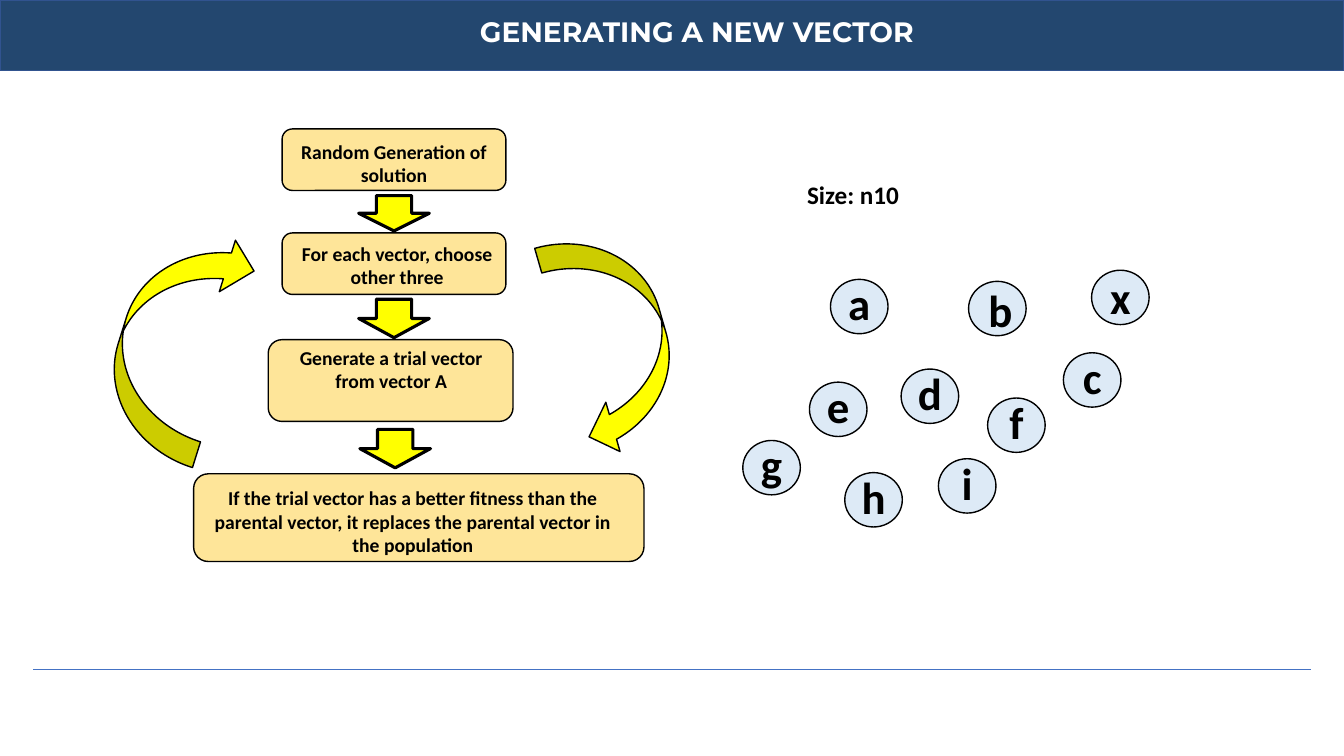
from dataclasses import dataclass

from lxml import etree
from pptx import Presentation
from pptx import util as u
from pptx.dml.color import RGBColor
from pptx.enum import shapes, text
from pptx.oxml.ns import qn


@dataclass(frozen=True)
class Theme:
    banner: str = "23476F"
    banner_edge: str = "31538F"
    rule: str = "4472C4"
    step: str = "FEE599"
    arrow: str = "FFFF00"
    circle: str = "DDEAF6"
    ink: str = "000000"
    white: str = "FFFFFF"
    title_font: str = "Montserrat"
    body_font: str = "Calibri"
    title_size: int = 20
    note_size: int = 18
    step_size: int = 14
    letter_size: int = 32


def lengths(values):
    return [u.Cm(value) for value in values]


class SlideBuilder:
    def __init__(self, deck, theme):
        self.theme = theme
        self.page = deck.slides.add_slide(deck.slide_layouts[5])

    def group(self):
        return self.page.shapes.add_group_shape().shapes

    def fill_text(self, box, words, size, font=None, colour=None,
                  align=text.PP_ALIGN.CENTER, fit=text.MSO_AUTO_SIZE.SHAPE_TO_FIT_TEXT):
        frame = box.text_frame
        frame_format = {
            "word_wrap": True, "auto_size": fit,
            "vertical_anchor": text.MSO_ANCHOR.TOP,
        }
        for name, value in frame_format.items():
            setattr(frame, name, value)
        para = frame.paragraphs[0]
        para.alignment = align
        span = para.add_run()
        span.text = words
        span_format = {"name": font or self.theme.body_font, "size": u.Pt(size), "bold": True}
        for name, value in span_format.items():
            setattr(span.font, name, value)
        span.font.color.rgb = RGBColor.from_string(colour or self.theme.ink)

    def title(self, words, place):
        box = self.page.shapes.title
        for name, value in zip(("left", "top", "width", "height"), lengths(place)):
            setattr(box, name, value)
        self.fill_text(box, words, self.theme.title_size, self.theme.title_font,
                       self.theme.white, fit=text.MSO_AUTO_SIZE.NONE)
        # Bring the title in front of the banner
        box._element.getparent().append(box._element)

    def label(self, parent, words, place, size, **style):
        self.fill_text(parent.add_textbox(*lengths(place)), words, size, **style)

    def shape(self, parent, kind, place, fill, edge=None, weight=1, rotation=0):
        shape = parent.add_shape(kind, *lengths(place))
        shape.shadow.inherit = False
        shape.rotation = rotation
        shape.fill.solid()
        shape.fill.fore_color.rgb = RGBColor.from_string(fill)
        shape.line.color.rgb = RGBColor.from_string(edge or self.theme.ink)
        shape.line.width = u.Pt(weight)

    def rule(self, start, end):
        line = self.page.shapes.add_connector(
            shapes.MSO_CONNECTOR.STRAIGHT, *lengths(start + end))
        line.line.color.rgb = RGBColor.from_string(self.theme.rule)
        line.line.width = u.Pt(0.75)
        etree.SubElement(line._element.spPr, qn("a:effectLst"))


# Flow chart: box place, text place, words
STEPS = [
    ((7.11, 3.25, 5.64, 1.55), (7.11, 3.4, 5.64, 1.45), "Random Generation of solution"),
    ((7.11, 5.87, 5.64, 1.55), (7.19, 5.97, 5.64, 1.45), "For each vector, choose other three"),
    ((6.76, 8.56, 6.17, 2.06), (7.04, 8.59, 5.64, 1.45), "Generate a trial vector from vector A"),
    ((4.88, 11.94, 11.35, 2.21), (4.98, 12.12, 10.85, 2.06),
     "If the trial vector has a better fitness than the parental vector, "
     "it replaces the parental vector in the population"),
]
DOWN_ARROWS = [(9.04, 4.93, 1.78, 0.89), (9.04, 7.54, 1.78, 0.97), (9.07, 10.82, 1.78, 0.97)]
LOOP_ARROWS = [((14.2, 5.79, 2.59, 5.59), 343.9), ((3.07, 5.64, 2.72, 5.87), 197.4)]

# Population: left and top of each circle
VECTORS = {
    "a": (20.93, 7.04), "b": (24.41, 7.09), "c": (26.8, 8.89), "f": (24.89, 10.03),
    "d": (22.71, 9.3), "e": (20.4, 9.63), "x": (27.51, 6.81), "h": (21.29, 11.91),
    "g": (18.72, 11.1), "i": (23.65, 11.56),
}
LETTER_SHIFT = {"b": (0.08, -0.08), "x": (0, -0.13)}
USUAL_SHIFT = (0, -0.21)


def main():
    deck = Presentation()
    deck.slide_width, deck.slide_height = lengths((33.87, 19.05))
    theme = Theme()
    builder = SlideBuilder(deck, theme)
    kinds = shapes.MSO_SHAPE
    top_level = builder.page.shapes

    # Banner, title and footer rule
    builder.shape(top_level, kinds.RECTANGLE, (0, 0, 33.87, 1.78), theme.banner, theme.banner_edge)
    builder.title("GENERATING A NEW VECTOR", (7.34, 0.25, 20.45, 1.12))
    builder.rule((0.84, 16.87), (33.05, 16.87))

    # Population of vectors
    for letter, (left, top) in VECTORS.items():
        token = builder.group()
        builder.shape(token, kinds.OVAL, (left, top, 1.45, 1.37), theme.circle)
        across, down = LETTER_SHIFT.get(letter, USUAL_SHIFT)
        builder.label(token, letter, (left + across, top + down, 1.45, 1.63), theme.letter_size)
    builder.label(top_level, "Size: n10", (20.09, 4.39, 4.37, 1.02), theme.note_size,
                  align=text.PP_ALIGN.LEFT)

    # Flow chart
    flow = builder.group()
    for box_place, text_place, words in STEPS:
        builder.shape(flow, kinds.ROUNDED_RECTANGLE, box_place, theme.step)
        builder.label(flow, words, text_place, theme.step_size)
    for place in DOWN_ARROWS:
        builder.shape(flow, kinds.DOWN_ARROW, place, theme.arrow, weight=2.25)
    for place, rotation in LOOP_ARROWS:
        builder.shape(flow, kinds.CURVED_LEFT_ARROW, place, theme.arrow, rotation=rotation)

    deck.save("out.pptx")


if __name__ == "__main__":
    main()
